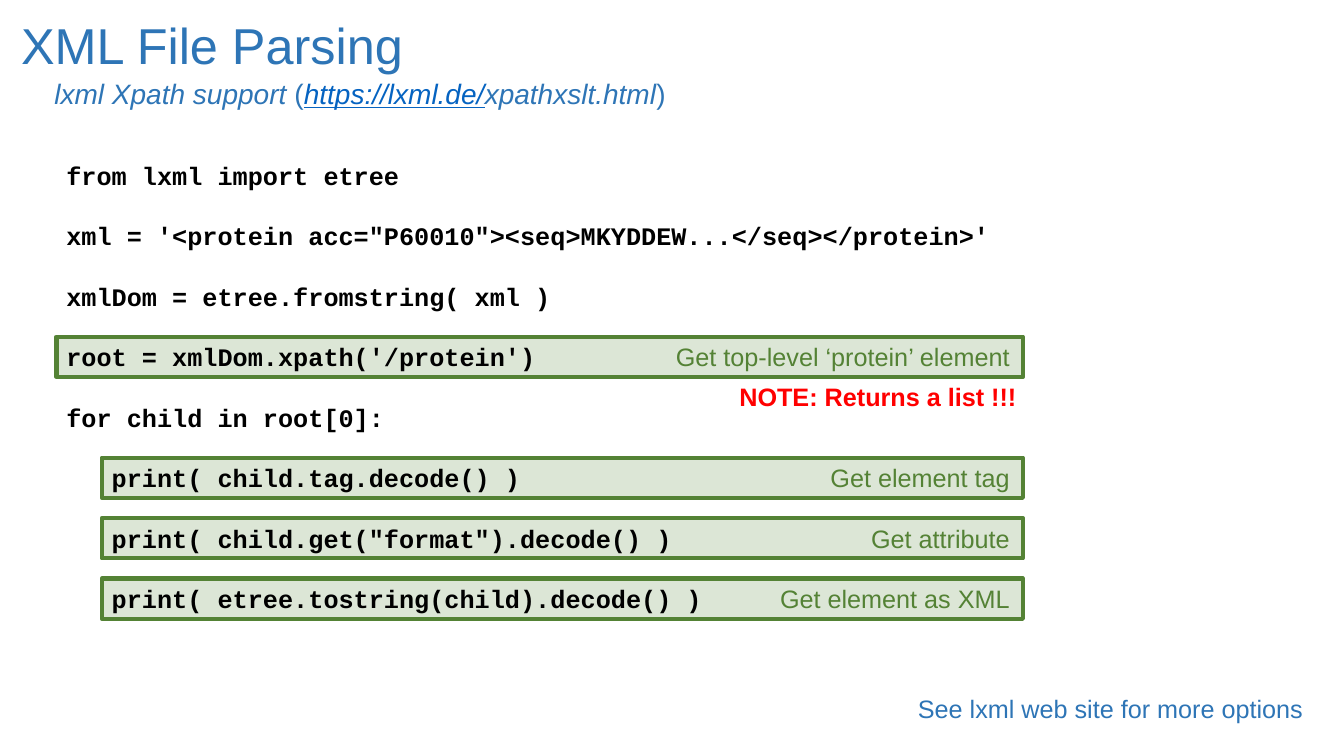
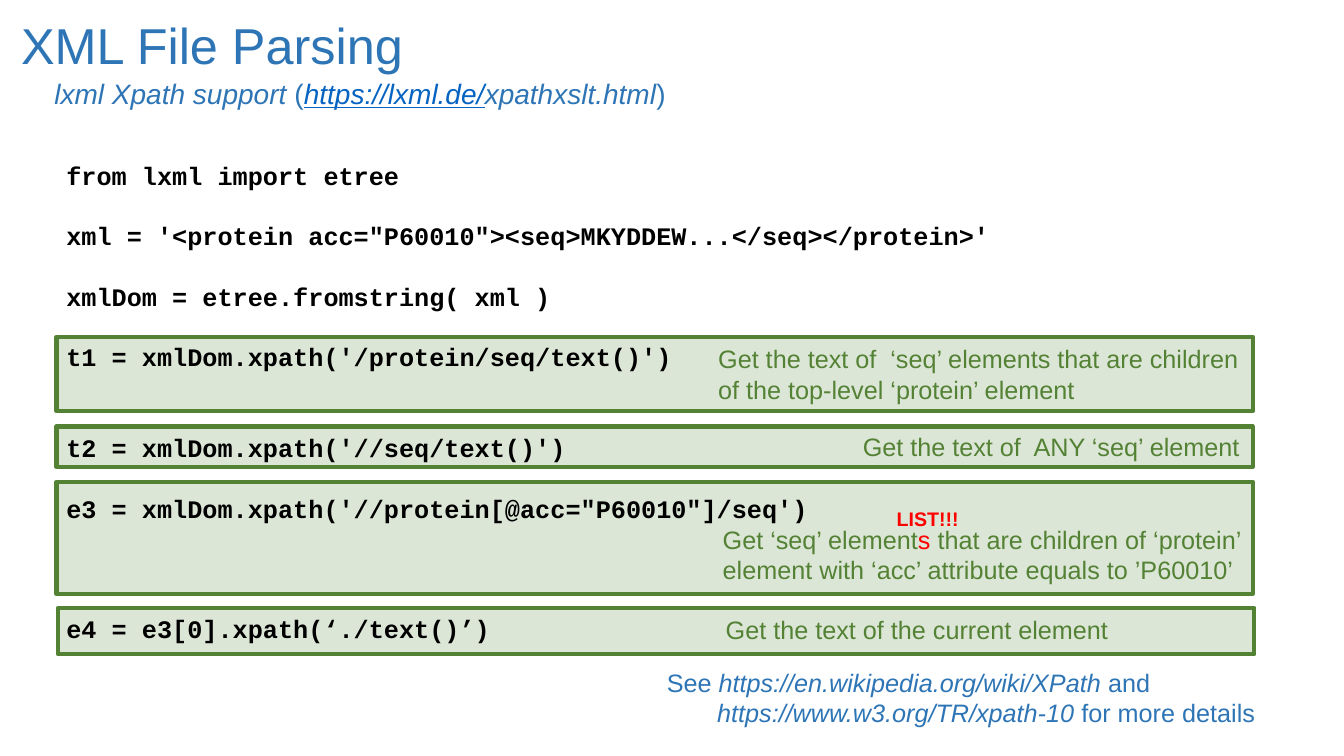
from collections import namedtuple

from lxml import etree
from pptx import Presentation
from pptx import util as u
from pptx.dml.color import RGBColor
from pptx.enum import shapes, text
from pptx.oxml.ns import qn

BLUE = RGBColor(0x2E, 0x75, 0xB6)
LINK = RGBColor(0x05, 0x63, 0xC1)
GREEN = RGBColor(0x54, 0x82, 0x35)
RED = RGBColor(0xFF, 0x00, 0x00)
BLACK = RGBColor(0x00, 0x00, 0x00)

# Grid of code characters (columns) and code lines (rows), in inches.
LEFT, TOP = 0.56, 1.54
COL, ROW = 0.15, 0.3
PAD = 0.1
LINE_POINTS = ROW * 72

Box = namedtuple("Box", "col row cols rows")
Run = namedtuple("Run", "words color italic underline", defaults=(None, False, False))

TITLE_BOX = Box(-3, -4.83, 30, 2)
SUBTITLE_BOX = Box(-0.8, -2.77, 61, 1.1)
CODE_BOX = Box(0, 0, 63, 16)

SUBTITLE = [
    Run("lxml Xpath support ", italic=True),
    Run("("),
    Run("https://lxml.de/", LINK, True, True),
    Run("xpathxslt.html", italic=True),
    Run(")"),
]

# Each entry is the row of a code line and its wording.
SETUP_CODE = [
    (0, "from lxml import etree"),
    (2, "xml = '<protein acc=\"P60010\"><seq>MKYDDEW...</seq></protein>'"),
    (4, "xmlDom = etree.fromstring( xml )"),
]
LOOP_CODE = SETUP_CODE + [
    (6, "root = xmlDom.xpath('/protein')"),
    (8, "for child in root[0]:"),
    (10, "   print( child.tag.decode() )"),
    (12, "   print( child.get(\"format\").decode() )"),
    (14, "   print( etree.tostring(child).decode() )"),
]
QUERY_CODE = SETUP_CODE + [
    (6, "t1 = xmlDom.xpath('/protein/seq/text()')"),
    (9, "t2 = xmlDom.xpath('//seq/text()')"),
    (11, "e3 = xmlDom.xpath('//protein[@acc=\"P60010\"]/seq')"),
    (15, "e4 = e3[0].xpath(‘./text()’)"),
]


def place(box):
    """Turn a grid box into left, top, width and height."""
    return (u.Inches(LEFT + box.col * COL), u.Inches(TOP + box.row * ROW),
            u.Inches(box.cols * COL), u.Inches(box.rows * ROW + PAD))


def add_run(paragraph, run, size, color, font="Arial", bold=False):
    piece = paragraph.add_run()
    piece.text = run.words
    piece.font.name = font
    piece.font.size = u.Pt(size)
    piece.font.bold = bold
    piece.font.italic = run.italic
    piece.font.underline = run.underline
    piece.font.color.rgb = run.color or color


def text_frame(slide, box, wrap=True):
    frame = slide.shapes.add_textbox(*place(box)).text_frame
    frame.word_wrap = wrap
    return frame


def add_label(slide, box, runs, color, size=18, bold=False, right=False):
    """Add a one-paragraph text and return its frame."""
    frame = text_frame(slide, box)
    paragraph = frame.paragraphs[0]
    if right:
        paragraph.alignment = text.PP_ALIGN.RIGHT
        frame.margin_right = u.Inches(0.13)
    for run in runs:
        add_run(paragraph, run, size, color, bold=bold)
    return frame


def add_panel(slide, box, note, note_col=None, note_row=None):
    """Add a green band; its note is right-aligned unless a column is given."""
    band = slide.shapes.add_shape(shapes.MSO_SHAPE.RECTANGLE, *place(box))
    band.shadow.inherit = False
    band.fill.solid()
    band.fill.fore_color.rgb = GREEN
    tint = band.fill._xPr.find(qn("a:solidFill"))[0]
    etree.SubElement(tint, qn("a:alpha")).set("val", "20000")
    band.line.color.rgb = GREEN
    band.line.width = u.Pt(3)

    col = box.col if note_col is None else note_col
    row = box.row if note_row is None else note_row
    note_box = Box(col, row, box.col + box.cols - col, box.rows)
    add_label(slide, note_box, note, GREEN, right=note_col is None)


def add_code(slide, lines):
    frame = text_frame(slide, CODE_BOX, wrap=False)
    previous = -1
    for row, words in lines:
        first = previous < 0
        paragraph = frame.paragraphs[0] if first else frame.add_paragraph()
        paragraph.line_spacing = u.Pt(LINE_POINTS)
        paragraph.space_before = u.Pt((row - previous - 1) * LINE_POINTS)
        add_run(paragraph, Run(words), 18, BLACK, "Courier New", bold=True)
        previous = row


def start_slide(deck):
    """Add a slide with the shared title and subtitle."""
    slide = deck.slides.add_slide(deck.slide_layouts[5])
    title = slide.shapes.title
    title.left, title.top, title.width, title.height = place(TITLE_BOX)
    frame = title.text_frame
    frame.word_wrap = False
    frame.auto_size = text.MSO_AUTO_SIZE.NONE
    frame.vertical_anchor = text.MSO_ANCHOR.TOP
    frame.paragraphs[0].alignment = text.PP_ALIGN.LEFT
    add_run(frame.paragraphs[0], Run("XML File Parsing"), 36, BLUE)
    add_label(slide, SUBTITLE_BOX, SUBTITLE, BLUE, size=20)
    return slide


def build_loop_slide(deck):
    slide = start_slide(deck)
    right = 63.9
    for col, row, note in [
        (0, 6, "Get top-level ‘protein’ element"),
        (3, 10, "Get element tag"),
        (3, 12, "Get attribute"),
        (3, 14, "Get element as XML"),
    ]:
        add_panel(slide, Box(col, row, right - col, 1), [Run(note)])
    add_label(slide, Box(44.5, 7.3, 20, 1), [Run("NOTE: Returns a list !!!")], RED, bold=True)
    add_code(slide, LOOP_CODE)
    add_label(slide, Box(56.3, 17.63, 28, 1), [Run("See lxml web site for more options")], BLUE)


def build_query_slide(deck):
    slide = start_slide(deck)
    cols = 79.1
    add_panel(slide, Box(0, 6, cols, 2.13), [
        Run("Get the text of  ‘seq’ elements that are children of the top-level ‘protein’ element"),
    ], 43.1, 6.07)
    add_panel(slide, Box(0, 8.97, cols, 1), [Run("Get the text of  ANY ‘seq’ element")])
    add_panel(slide, Box(0, 10.8, cols, 3.37), [
        Run("Get ‘seq’ element"),
        Run("s", RED),
        Run(" that are children of ‘protein’ element with ‘acc’ attribute equals to ’P60010’"),
    ], 43.4, 12.03)
    add_panel(slide, Box(0.1, 14.97, cols, 1.2),
              [Run("Get the text of the current element")], 43.6, 15.03)
    add_code(slide, QUERY_CODE)
    add_label(slide, Box(54.9, 11.47, 8, 0.8), [Run("LIST!!!")], RED, size=14, bold=True)

    sources = add_label(slide, Box(39.7, 16.77, 44, 2), [
        Run("See "),
        Run("https://en.wikipedia.org/wiki/XPath ", italic=True),
        Run("and"),
    ], BLUE)
    second = sources.add_paragraph()
    second._p.get_or_add_pPr().set("marL", str(u.Inches(0.5)))
    add_run(second, Run("https://www.w3.org/TR/xpath-10", italic=True), 18, BLUE)
    add_run(second, Run(" for more details"), 18, BLUE)


def main():
    deck = Presentation()
    deck.slide_width = u.Inches(13.33)
    deck.slide_height = u.Inches(7.5)
    build_loop_slide(deck)
    build_query_slide(deck)
    deck.save("out.pptx")


if __name__ == "__main__":
    main()
